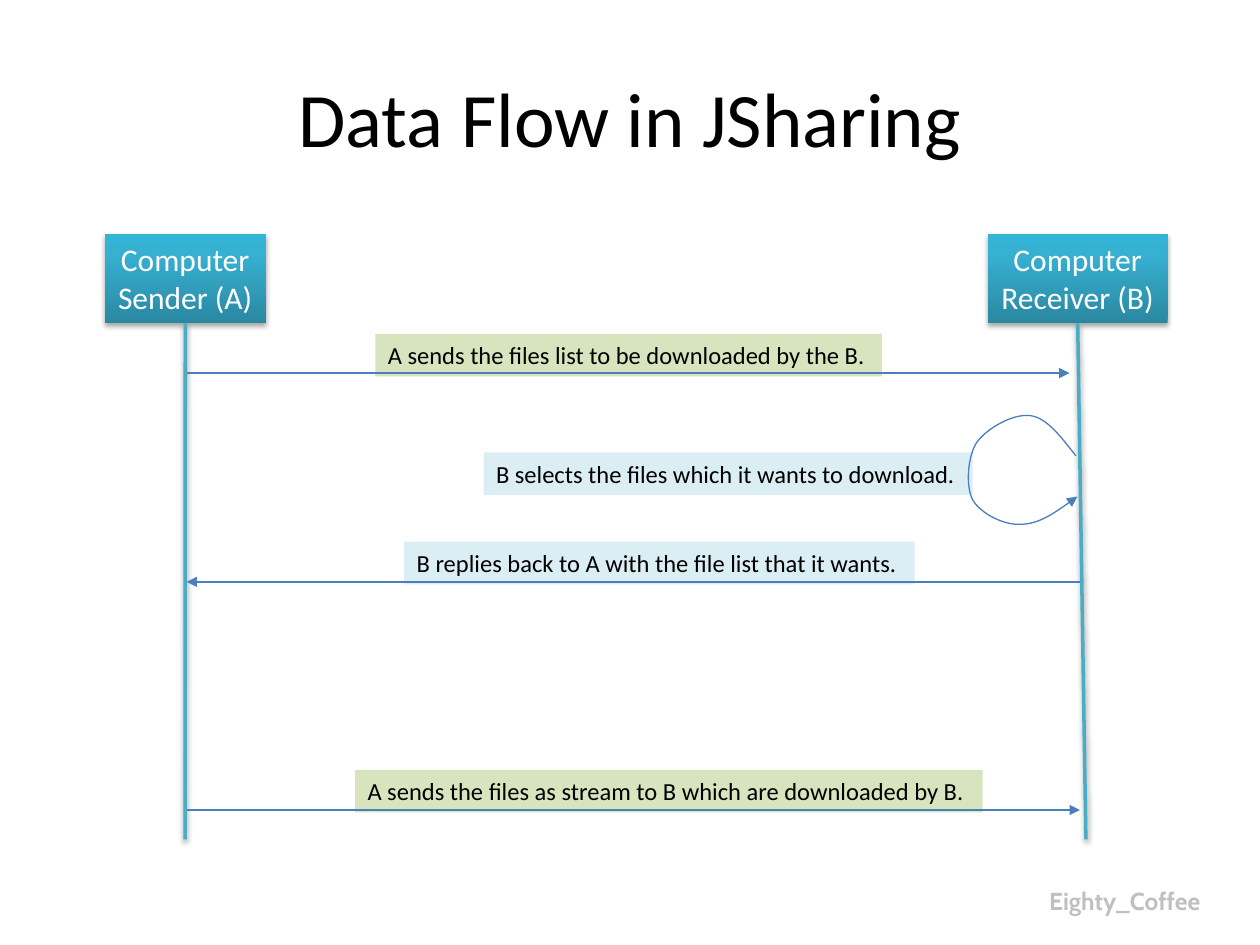
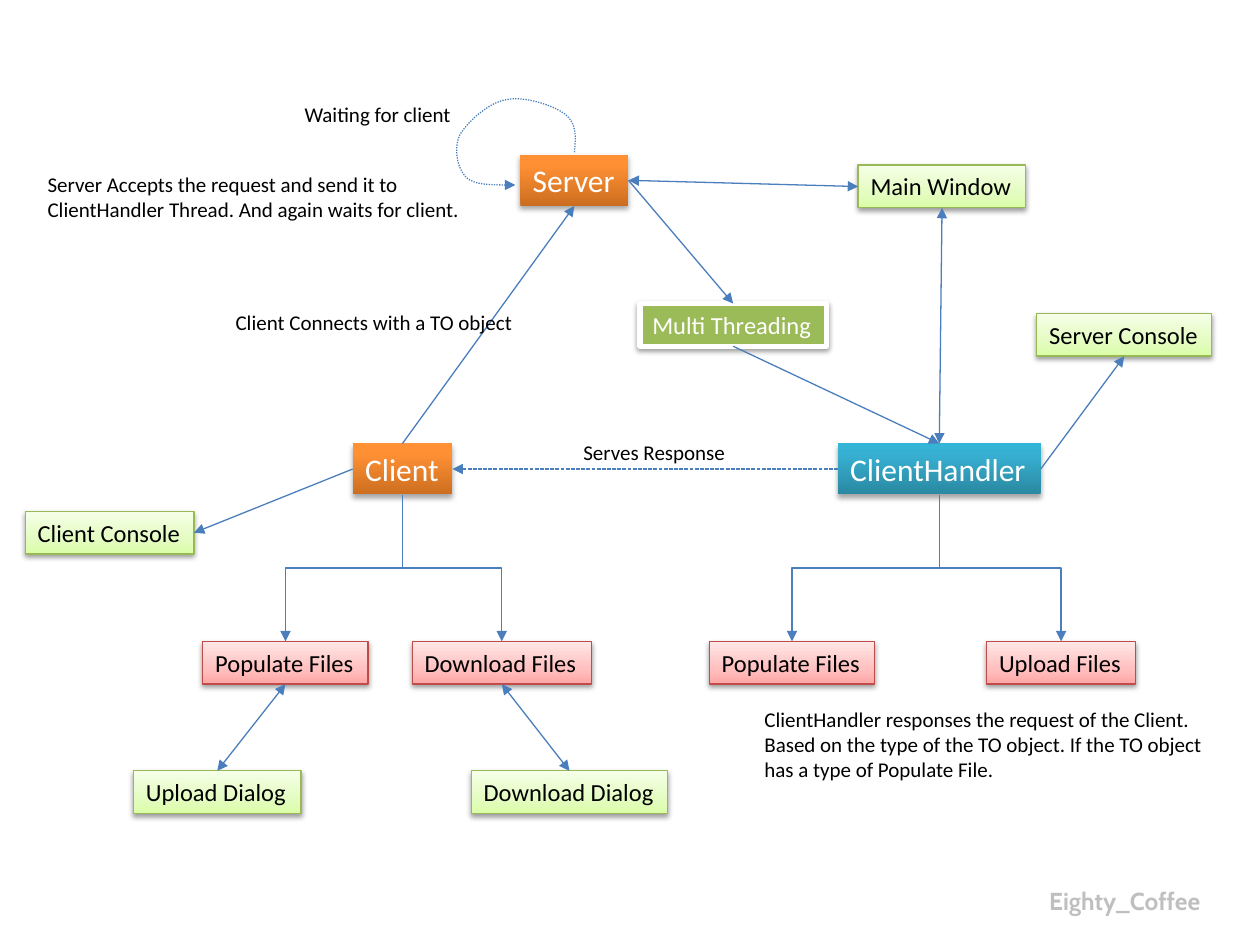
from copy import deepcopy
from dataclasses import dataclass
from typing import NamedTuple

import pptx
import pptx.dml.color
import pptx.enum.dml
import pptx.enum.shapes
import pptx.enum.text
import pptx.oxml.ns
import pptx.util
from lxml import etree

Cm, Pt = pptx.util.Cm, pptx.util.Pt
qn = pptx.oxml.ns.qn
DASH = pptx.enum.dml.MSO_LINE
CONNECTOR = pptx.enum.shapes.MSO_CONNECTOR
ALIGN = pptx.enum.text.PP_ALIGN
TOP, LEFT, BOTTOM, RIGHT = range(4)
LINE_H = 0.86

COLORS = {
    "black": "000000", "white": "FFFFFF", "footer": "BFBFBF",
    "arrow": "4B7EBC", "lifeline": "4BACC6",
    "sender": "D7E4BD", "receiver": "DBEEF4", "olive": "9BBB59",
    "red_line": "BF4C48", "green_line": "98B955",
    "teal_dark": "2A88A2", "teal": "37B1D2", "teal_light": "34B4D6",
    "orange_dark": "CC6E20", "orange": "FF9034", "orange_light": "FF9136",
    "red_dark": "FFA6A5", "red": "FFC0BF", "red_light": "FFE7E7",
    "green_dark": "DAFDA7", "green": "E4FCC2", "green_light": "F5FFE7",
}


class Shadow(NamedTuple):
    alpha: int
    distance: float


STRONG, SOFT = Shadow(35, 1.8), Shadow(38, 1.6)


@dataclass(frozen=True)
class Style:
    fill: tuple[str, ...]
    middle: float = 0.8
    line: str | None = None
    line_width: float = 0.75
    shadow: Shadow | None = None
    size: int = 14
    color: str = "black"


def gradient_of(name: str) -> tuple[str, ...]:
    return (f"{name}_dark", name, f"{name}_light")


SENDER = Style(("sender",))
RECEIVER = Style(("receiver",))
TEAL = Style(gradient_of("teal"), shadow=STRONG, size=18, color="white")
ORANGE = Style(gradient_of("orange"), shadow=STRONG, size=18, color="white")
RED = Style(gradient_of("red"), 0.35, "red_line", shadow=SOFT)
GREEN = Style(gradient_of("green"), 0.35, "green_line", shadow=SOFT)
OLIVE = Style(("olive",), line="white", line_width=3, shadow=SOFT, color="white")


@dataclass(frozen=True)
class Box:
    text: str
    x: float
    y: float
    w: float
    style: Style
    h: float = LINE_H
    align: ALIGN = ALIGN.LEFT


class Note(NamedTuple):
    text: str
    x: float
    y: float
    w: float
    h: float = 0.76


class Link(NamedTuple):
    start: str
    start_side: int
    end: str
    end_side: int
    both_ways: bool = False
    dash: DASH | None = None


def rgb(name: str) -> pptx.dml.color.RGBColor:
    return pptx.dml.color.RGBColor.from_string(COLORS[name])


def write_text(sp, text: str, size: int, color: str = "black", font: str = "Calibri",
               bold: bool = False, align: ALIGN = ALIGN.LEFT) -> None:
    tf = sp.text_frame
    tf.word_wrap = False
    tf.auto_size = pptx.enum.text.MSO_AUTO_SIZE.SHAPE_TO_FIT_TEXT
    tf.vertical_anchor = pptx.enum.text.MSO_ANCHOR.TOP
    for i, line in enumerate(text.split("\n")):
        p = tf.add_paragraph() if i else tf.paragraphs[0]
        p.alignment = align
        r = p.add_run()
        r.text = line
        r.font.size, r.font.name, r.font.bold = Pt(size), font, bold
        r.font.color.rgb = rgb(color)


def fill_shape(sp, style: Style) -> None:
    """Fill solid for one colour, or bottom to top for three."""
    if len(style.fill) == 1:
        sp.fill.solid()
        sp.fill.fore_color.rgb = rgb(style.fill[0])
        return
    sp.fill.gradient()
    sp.fill.gradient_angle = 90
    stop_list = sp._element.spPr.find(f".//{qn('a:gsLst')}")
    stop_list.append(deepcopy(stop_list[-1]))
    for stop, name, position in zip(sp.fill.gradient_stops, style.fill, (0, style.middle, 1)):
        stop.color.rgb = rgb(name)
        stop.position = position


def set_shadow(sp, shadow: Shadow | None) -> None:
    """Replace the theme's shadow by the given one, or by none."""
    effects = sp._element.spPr.find(qn("a:effectLst"))
    if effects is None:
        effects = etree.SubElement(sp._element.spPr, qn("a:effectLst"))
    if shadow:
        outer = etree.SubElement(effects, qn("a:outerShdw"), blurRad=str(Pt(3.1)),
                                 dist=str(Pt(shadow.distance)), dir="5400000", rotWithShape="0")
        black = etree.SubElement(outer, qn("a:srgbClr"), val=COLORS["black"])
        etree.SubElement(black, qn("a:alpha"), val=str(shadow.alpha * 1000))


def add_box(s, box: Box):
    sp = s.shapes.add_shape(pptx.enum.shapes.MSO_SHAPE.RECTANGLE,
                            Cm(box.x), Cm(box.y), Cm(box.w), Cm(box.h))
    style = box.style
    fill_shape(sp, style)
    if style.line:
        sp.line.color.rgb = rgb(style.line)
        sp.line.width = Pt(style.line_width)
    else:
        sp.line.fill.background()
    sp.shadow.inherit = False
    set_shadow(sp, style.shadow)
    write_text(sp, box.text, style.size, style.color, align=box.align)
    return sp


def add_note(s, note: Note) -> None:
    tb = s.shapes.add_textbox(Cm(note.x), Cm(note.y), Cm(note.w), Cm(note.h))
    write_text(tb, note.text, 12)


def add_footer(s) -> None:
    tb = s.shapes.add_textbox(Cm(20.9), Cm(17.73), Cm(4.04), Cm(LINE_H))
    write_text(tb, "Eighty_Coffee", 14, "footer", "Cabin", bold=True)


def format_arrow(sp, both_ways: bool = False, dash: DASH | None = None) -> None:
    sp.line.color.rgb = rgb("arrow")
    sp.line.width = Pt(0.75)
    if dash:
        sp.line.dash_style = dash
    ln = sp._element.spPr.find(qn("a:ln"))
    for end in ("a:headEnd", "a:tailEnd") if both_ways else ("a:tailEnd",):
        etree.SubElement(ln, qn(end), type="triangle")
    set_shadow(sp, None)


def add_link(s, shapes: dict, link: Link) -> None:
    cxn = s.shapes.add_connector(CONNECTOR.STRAIGHT, 0, 0, 0, 0)
    cxn.begin_connect(shapes[link.start], link.start_side)
    cxn.end_connect(shapes[link.end], link.end_side)
    format_arrow(cxn, link.both_ways, link.dash)


def add_branch(s, parent, child) -> None:
    """Join a parent's bottom to a child's top by a vertical-first elbow."""
    cxn = s.shapes.add_connector(CONNECTOR.ELBOW, 0, 0, 0, 0)
    cxn.begin_connect(parent, BOTTOM)
    cxn.end_connect(child, TOP)
    x1, y1, x2, y2 = cxn.begin_x, cxn.begin_y, cxn.end_x, cxn.end_y
    cxn.width, cxn.height = y2 - y1, abs(x2 - x1)
    cxn.left = (x1 + x2 - cxn.width) // 2
    cxn.top = (y1 + y2 - cxn.height) // 2
    to_right = x2 > x1
    xfrm = cxn._element.spPr.find(qn("a:xfrm"))
    xfrm.set("rot", "16200000" if to_right else "5400000")
    xfrm.set("flipH", "1" if to_right else "0")
    format_arrow(cxn)


def add_loop(s, points: list[tuple[float, float]], dash: DASH | None = None) -> None:
    """Draw a curved arrow: a start point, then three Bezier points per segment."""
    start, *rest = [(Cm(x), Cm(y)) for x, y in points]
    builder = s.shapes.build_freeform(*start)
    builder.add_line_segments(rest, close=False)
    sp = builder.convert_to_shape()
    path = sp._element.spPr.find(f".//{qn('a:path')}")
    lines = path.findall(qn("a:lnTo"))
    for i in range(0, len(lines), 3):
        curve = etree.SubElement(path, qn("a:cubicBezTo"))
        for line in lines[i:i + 3]:
            curve.append(line[0])
            path.remove(line)
    sp.fill.background()
    sp.shadow.inherit = False
    format_arrow(sp, dash=dash)


def build_data_flow(prs) -> None:
    s = prs.slides.add_slide(prs.slide_layouts[5])
    title = s.shapes.title
    title.left, title.top, title.width, title.height = Cm(1.27), Cm(0.76), Cm(22.86), Cm(3.18)
    title.text_frame.vertical_anchor = pptx.enum.text.MSO_ANCHOR.MIDDLE
    p = title.text_frame.paragraphs[0]
    p.alignment = ALIGN.CENTER
    r = p.add_run()
    r.text = "Data Flow in JSharing"
    r.font.size, r.font.name = Pt(44), "Calibri"
    r.font.color.rgb = rgb("black")

    for message in (
        Box("B selects the files which it wants to download.", 9.75, 9.12, 9.86, RECEIVER),
        Box("A sends the files as stream to B which are downloaded by B.", 7.16, 15.52, 12.65, SENDER),
        Box("B replies back to A with the file list that it wants.", 8.15, 10.92, 10.29, RECEIVER),
        Box("A sends the files list to be downloaded by the B.", 7.57, 6.73, 10.21, SENDER),
    ):
        add_box(s, message)

    for computer, foot_x in (
        (Box("Computer\nSender (A)", 2.11, 4.72, 3.25, TEAL, 1.8, ALIGN.CENTER), 3.73),
        (Box("Computer\nReceiver (B)", 19.91, 4.72, 3.63, TEAL, 1.8, ALIGN.CENTER), 21.89),
    ):
        sp = add_box(s, computer)
        lifeline = s.shapes.add_connector(CONNECTOR.STRAIGHT, 0, 0, Cm(foot_x), Cm(16.92))
        lifeline.begin_connect(sp, BOTTOM)
        lifeline.line.color.rgb = rgb("lifeline")
        lifeline.line.width = Pt(2)
        set_shadow(lifeline, SOFT)

    for x1, x2, y in ((3.76, 21.56, 7.52), (21.77, 3.76, 11.73), (3.76, 21.77, 16.33)):
        format_arrow(s.shapes.add_connector(CONNECTOR.STRAIGHT, Cm(x1), Cm(y), Cm(x2), Cm(y)))
    add_loop(s, [
        (21.69, 9.19), (21.39, 8.81), (21.11, 8.43), (20.78, 8.38),
        (20.42, 8.33), (19.89, 8.64), (19.69, 8.92), (19.51, 9.19),
        (19.46, 9.8), (19.61, 10.08), (19.76, 10.34), (20.22, 10.59),
        (20.57, 10.57), (20.93, 10.57), (21.34, 10.29), (21.72, 10.01)])
    add_footer(s)


def build_architecture(prs) -> None:
    s = prs.slides.add_slide(prs.slide_layouts[6])
    file_y, dialog_y = 12.93, 15.54
    boxes = {
        "server": Box("Server", 10.49, 3.12, 2.18, ORANGE, 1.03),
        "handler": Box("ClientHandler", 16.89, 8.94, 4.09, TEAL, 1.03),
        "threads": Box("Multi Threading", 12.9, 6.12, 3.76, OLIVE),
        "client": Box("Client", 7.11, 8.94, 2.01, ORANGE, 1.03),
        "upload": Box("Upload Files", 19.89, file_y, 3, RED),
        "handler_populate": Box("Populate Files", 14.3, file_y, 3.33, RED),
        "download": Box("Download Files", 8.31, file_y, 3.61, RED),
        "client_populate": Box("Populate Files", 4.09, file_y, 3.33, RED),
        "download_dialog": Box("Download Dialog", 9.5, dialog_y, 3.96, GREEN),
        "upload_dialog": Box("Upload Dialog", 2.69, dialog_y, 3.38, GREEN),
        "window": Box("Main Window", 17.3, 3.33, 3.38, GREEN),
        "client_console": Box("Client Console", 0.51, 10.31, 3.4, GREEN),
        "server_console": Box("Server Console", 20.9, 6.32, 3.53, GREEN),
    }
    shapes = {key: add_box(s, box) for key, box in boxes.items()}

    for link in (
        Link("client", TOP, "server", BOTTOM),
        Link("server", RIGHT, "threads", TOP),
        Link("threads", BOTTOM, "handler", TOP),
        Link("client_populate", BOTTOM, "upload_dialog", TOP, both_ways=True),
        Link("download", BOTTOM, "download_dialog", TOP, both_ways=True),
        Link("handler", LEFT, "client", RIGHT, dash=DASH.SQUARE_DOT),
        Link("server", RIGHT, "window", LEFT, both_ways=True),
        Link("handler", TOP, "window", BOTTOM, both_ways=True),
        Link("client", LEFT, "client_console", RIGHT),
        Link("handler", RIGHT, "server_console", BOTTOM),
    ):
        add_link(s, shapes, link)
    for parent, child in (("handler", "handler_populate"), ("handler", "upload"),
                          ("client", "client_populate"), ("client", "download")):
        add_branch(s, shapes[parent], shapes[child])
    add_loop(s, [
        (11.58, 3.07), (11.61, 2.77), (11.63, 2.49), (11.4, 2.31),
        (11.18, 2.13), (10.57, 1.93), (10.21, 2.01), (9.86, 2.06),
        (9.42, 2.46), (9.27, 2.72), (9.14, 3), (9.22, 3.4),
        (9.4, 3.58), (9.58, 3.73), (9.98, 3.73), (10.39, 3.73)], DASH.ROUND_DOT)

    for note in (
        Note("Server Accepts the request and send it to\n"
             "ClientHandler Thread. And again waits for client.", 0.71, 3.33, 8.89, 1.27),
        Note("Client Connects with a TO object", 4.5, 6.12, 6.15),
        Note("ClientHandler responses the request of the Client.\n"
             "Based on the type of the TO object. If the TO object\n"
             "has a type of Populate File.", 15.16, 14.12, 9.42, 1.8),
        Note("Waiting for client", 5.89, 1.93, 3.48),
        Note("Serves Response", 11.51, 8.74, 3.4),
    ):
        add_note(s, note)
    add_footer(s)


def main() -> None:
    prs = pptx.Presentation()
    prs.slide_width, prs.slide_height = Cm(25.4), Cm(19.05)
    build_data_flow(prs)
    build_architecture(prs)
    prs.save("out.pptx")


if __name__ == "__main__":
    main()
